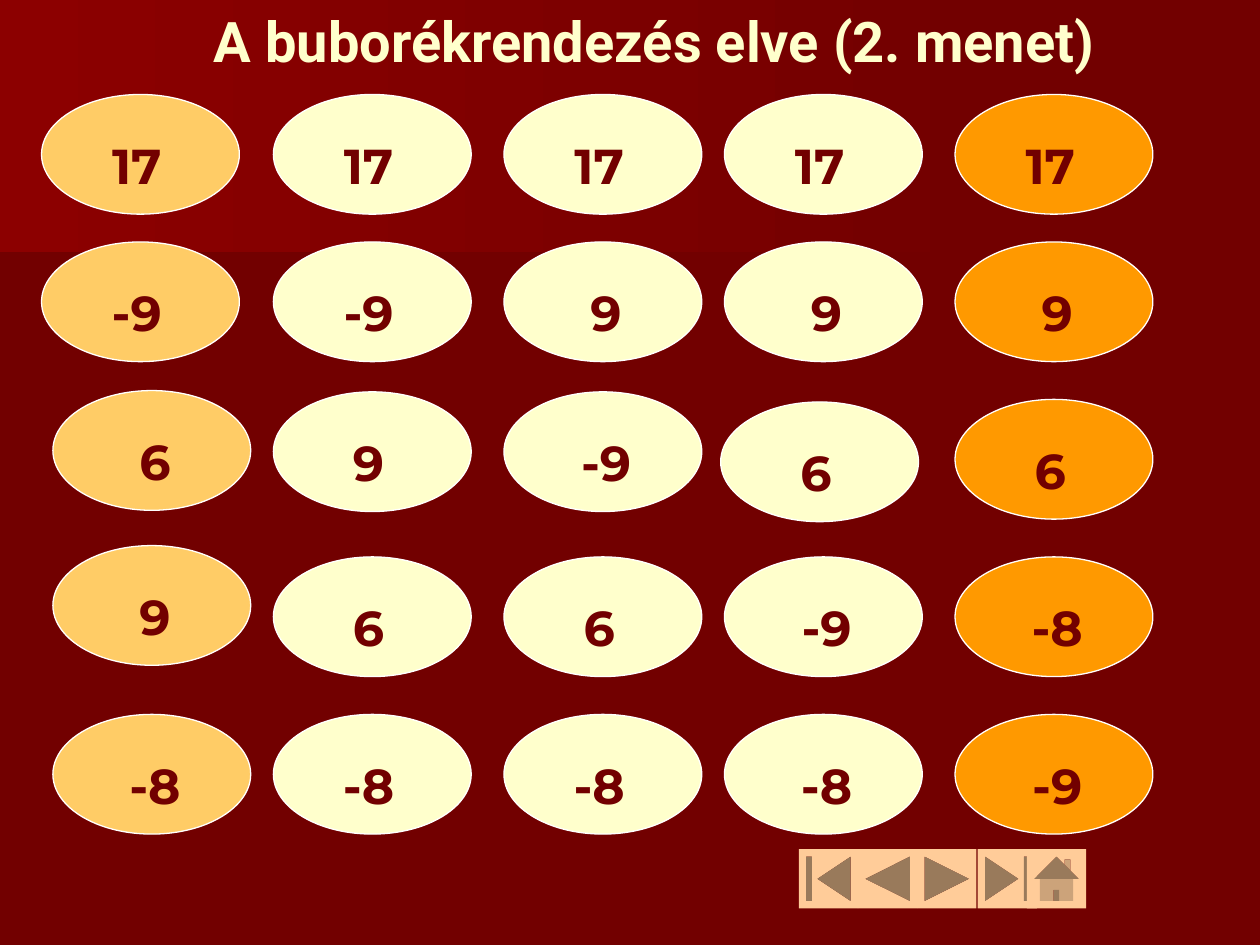
from pptx import Presentation
from pptx.dml.color import RGBColor
from pptx.enum.shapes import MSO_SHAPE as Shape
from pptx.enum.text import MSO_ANCHOR as Anchor, PP_ALIGN as Align
from pptx.util import Inches, Pt

DARK_RED = RGBColor(0x72, 0x00, 0x00)
DEEP_RED = RGBColor(0x6A, 0x00, 0x00)
BRIGHT_RED = RGBColor(0x8C, 0x00, 0x00)
CREAM = RGBColor(0xFF, 0xFF, 0xCC)
YELLOW = RGBColor(0xFF, 0xCC, 0x66)
ORANGE = RGBColor(0xFF, 0x99, 0x00)
PEACH = RGBColor(0xFF, 0xCC, 0x99)
WHITE = RGBColor(0xFF, 0xFF, 0xFF)

BUBBLE_WIDTH, BUBBLE_HEIGHT = 1.57, 0.95
LABEL_LEFT, LABEL_TOP, LABEL_WIDTH, LABEL_HEIGHT = 0.36, 0.275, 0.79, 0.57
ROW_TOPS = [0.75, 1.92, 3.11, 4.42, 5.67]

# One step of the pass per column: left, colour, filled label, values
COLUMNS = [
    (0.33, YELLOW, True, ["17", "-9", " 6", " 9", " -8"]),
    (2.17, CREAM, False, ["17", "-9", "9", "6", "-8"]),
    (4.00, CREAM, False, ["17", " 9", " -9", "6", "-8"]),
    (5.75, CREAM, True, ["17", " 9", "6", " -9", " -8"]),
    (7.58, ORANGE, True, ["17", " 9", "6", " -8", " -9"]),
]
# Bubbles that sit off the grid, by (column, row): shift right and down
SHIFTS = {(0, 2): (0.09, -0.01), (0, 3): (0.09, -0.09), (0, 4): (0.09, 0),
          (3, 2): (-0.03, 0.08), (4, 2): (0, 0.06)}

BUTTON_SIZE, BUTTON_TOP = 0.47, 6.74
BUTTONS = [
    (6.34, Shape.ACTION_BUTTON_BEGINNING),
    (6.81, Shape.ACTION_BUTTON_BACK_OR_PREVIOUS),
    (7.28, Shape.ACTION_BUTTON_FORWARD_OR_NEXT),
    (7.76, Shape.ACTION_BUTTON_END),
    (8.15, Shape.ACTION_BUTTON_HOME),
]


def write_text(shape, text, *, font, size, color):
    frame = shape.text_frame
    frame.word_wrap = True
    frame.vertical_anchor = Anchor.TOP
    frame.margin_left = frame.margin_right = Inches(0.1)
    frame.margin_top = frame.margin_bottom = Inches(0.05)
    paragraph = frame.paragraphs[0]
    paragraph.alignment = Align.CENTER
    paragraph.space_before = Pt(0)
    run = paragraph.add_run()
    run.text = text
    run.font.name = font
    run.font.size = Pt(size)
    run.font.bold = True
    run.font.color.rgb = color


def add_filled(shapes, kind, left, top, width, height, color, line=None):
    shape = shapes.add_shape(kind, Inches(left), Inches(top),
                             Inches(width), Inches(height))
    shape.shadow.inherit = False
    shape.fill.solid()
    shape.fill.fore_color.rgb = color
    if line is None:
        shape.line.fill.background()
    else:
        shape.line.color.rgb = line
        shape.line.width = Pt(0.75)
    return shape


def add_band(slide, points, right_color, left_color):
    builder = slide.shapes.build_freeform(*points[0], scale=Inches(1))
    builder.add_line_segments(points[1:], close=True)
    band = builder.convert_to_shape()
    band.shadow.inherit = False
    band.line.fill.background()
    band.fill.gradient()
    band.fill.gradient_angle = 180
    for stop, color in zip(band.fill.gradient_stops, (right_color, left_color)):
        stop.color.rgb = color


def add_title(slide, text):
    title = slide.shapes.title
    title.left, title.top = Inches(0.98), Inches(0)
    title.width, title.height = Inches(8.43), Inches(0.64)
    write_text(title, text, font="Roboto", size=32, color=CREAM)
    # Bring the title in front of the background bands
    title.element.getparent().append(title.element)


def add_bubble(slide, left, top, color, filled_label, value):
    shapes = slide.shapes.add_group_shape().shapes
    add_filled(shapes, Shape.OVAL, left, top, BUBBLE_WIDTH, BUBBLE_HEIGHT,
               color, line=WHITE)
    label = shapes.add_textbox(Inches(left + LABEL_LEFT), Inches(top + LABEL_TOP),
                               Inches(LABEL_WIDTH), Inches(LABEL_HEIGHT))
    if filled_label:
        label.fill.solid()
        label.fill.fore_color.rgb = color
    write_text(label, value, font="Montserrat", size=28, color=DARK_RED)


def main():
    presentation = Presentation()
    presentation.slide_width, presentation.slide_height = Inches(10), Inches(7.5)
    slide = presentation.slides.add_slide(presentation.slide_layouts[5])

    # Background
    slide.background.fill.solid()
    slide.background.fill.fore_color.rgb = DARK_RED
    add_band(slide, [(7.78, 1.53), (0, 2.17), (0, 1.01), (7.79, 1.01)],
             DARK_RED, DEEP_RED)
    add_band(slide, [(7.92, 1.62), (0, 2.08), (0, 0), (7.92, 0)],
             DARK_RED, BRIGHT_RED)

    # Navigation buttons
    for left, kind in BUTTONS:
        add_filled(slide.shapes, kind, left, BUTTON_TOP,
                   BUTTON_SIZE, BUTTON_SIZE, PEACH)

    add_title(slide, "A buborékrendezés elve (2. menet)")

    # Bubbles
    for column, (left, color, filled_label, values) in enumerate(COLUMNS):
        for row, (top, value) in enumerate(zip(ROW_TOPS, values)):
            right, down = SHIFTS.get((column, row), (0, 0))
            add_bubble(slide, left + right, top + down, color, filled_label, value)

    presentation.save("out.pptx")


if __name__ == "__main__":
    main()
